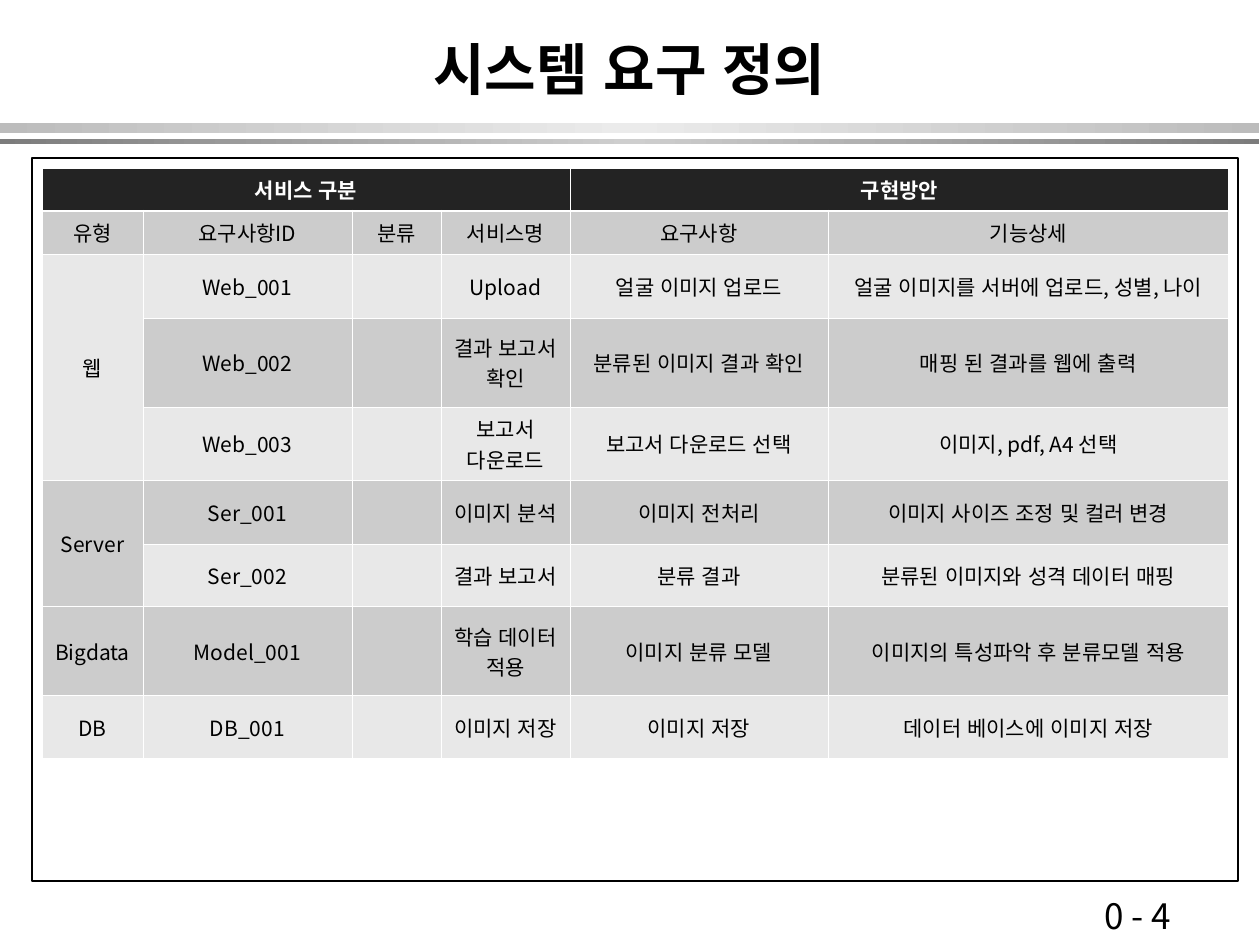
import copy

import lxml.etree
import pptx
import pptx.dml.color
import pptx.enum.lang
import pptx.enum.shapes
import pptx.enum.text
import pptx.oxml.ns
import pptx.util

PX = 914400 // 126
FONT = "Noto Sans CJK KR"
RGB = pptx.dml.color.RGBColor
BLACK = RGB(0x00, 0x00, 0x00)
WHITE = RGB(0xFF, 0xFF, 0xFF)
HEADER = RGB(0x23, 0x23, 0x23)
DARK_BAND = RGB(0xCC, 0xCC, 0xCC)
LIGHT_BAND = RGB(0xE8, 0xE8, 0xE8)
THICK_BAR = (RGB(0xBC, 0xBC, 0xBC), RGB(0xEB, 0xEB, 0xEB))
THIN_BAR = (RGB(0x7C, 0x7C, 0x7C), RGB(0xCE, 0xCE, 0xCE))

COLUMN_WIDTHS = (101, 209, 89, 129, 258, 401)
ROW_HEIGHTS = (43, 43, 64, 89, 73, 64, 63, 89, 63)
REQUIREMENTS = (
    ("서비스 구분", "", "", "", "구현방안", ""),
    ("유형", "요구사항ID", "분류", "서비스명", "요구사항", "기능상세"),
    ("웹", "Web_001", "", "Upload", "얼굴 이미지 업로드", "얼굴 이미지를 서버에 업로드, 성별, 나이"),
    ("", "Web_002", "", "결과 보고서 확인", "분류된 이미지 결과 확인", "매핑 된 결과를 웹에 출력"),
    ("", "Web_003", "", "보고서 다운로드", "보고서 다운로드 선택", "이미지, pdf, A4 선택"),
    ("Server", "Ser_001", "", "이미지 분석", "이미지 전처리", "이미지 사이즈 조정 및 컬러 변경"),
    ("", "Ser_002", "", "결과 보고서", "분류 결과", "분류된 이미지와 성격 데이터 매핑"),
    ("Bigdata", "Model_001", "", "학습 데이터 적용", "이미지 분류 모델", "이미지의 특성파악 후 분류모델 적용"),
    ("DB", "DB_001", "", "이미지 저장", "이미지 저장", "데이터 베이스에 이미지 저장"),
)
MERGES = (((0, 0), (0, 3)), ((0, 4), (0, 5)), ((2, 0), (4, 0)), ((5, 0), (6, 0)))


def px(*lengths):
    """Turn pixel lengths into EMU."""
    return [pptx.util.Emu(length * PX) for length in lengths]


def add_child(parent, tag, **attributes):
    """Append a DrawingML element."""
    return lxml.etree.SubElement(parent, pptx.oxml.ns.qn(tag), **attributes)


def write(frame, text, size, color, bold=False, align=pptx.enum.text.PP_ALIGN.CENTER):
    """Put one formatted paragraph in a text frame."""
    frame.text = text
    paragraph = frame.paragraphs[0]
    paragraph.alignment = align
    for run in paragraph.runs:
        run.font.name = FONT
        run.font.size = pptx.util.Pt(size)
        run.font.bold = bold
        run.font.color.rgb = color
        run.font.language_id = pptx.enum.lang.MSO_LANGUAGE_ID.KOREAN
        run.font._element.set("kern", "0")
        add_child(run.font._element, "a:ea", typeface=FONT)
    if not text:
        add_child(paragraph._p, "a:endParaRPr", sz=str(size * 100))


def add_rectangle(slide, *box):
    """Add a plain rectangle without shadow."""
    rectangle = slide.shapes.add_shape(pptx.enum.shapes.MSO_SHAPE.RECTANGLE, *px(*box))
    rectangle.shadow.inherit = False
    return rectangle


def add_bar(slide, top, height, colors):
    """Add a full-width bar that is lighter in its middle."""
    bar = add_rectangle(slide, 0, top, 1259, height)
    bar.line.fill.background()
    bar.fill.gradient()
    bar.fill.gradient_angle = 0
    stops = bar._element.spPr.find(".//" + pptx.oxml.ns.qn("a:gsLst"))
    stops.insert(1, copy.deepcopy(stops[0]))
    edge, middle = colors
    for stop, position, color in zip(bar.fill.gradient_stops, (0, 0.5, 1), (edge, middle, edge)):
        stop.position = position
        stop.color.rgb = color


def add_frame(slide):
    """Add the outlined content frame."""
    frame = add_rectangle(slide, 32, 158, 1206, 723)
    frame.fill.background()
    frame.line.color.rgb = BLACK
    frame.line.width = pptx.util.Pt(1)


def set_title(slide, text):
    """Place and format the title placeholder."""
    title = slide.shapes.title
    title.left, title.top, title.width, title.height = px(94, 21, 1071, 95)
    write(title.text_frame, text, 32, BLACK, bold=True)
    title.text_frame.auto_size = pptx.enum.text.MSO_AUTO_SIZE.NONE
    title.text_frame.vertical_anchor = pptx.enum.text.MSO_ANCHOR.MIDDLE


def add_page_number(slide, text):
    """Add the page number below the frame."""
    number = slide.shapes.add_textbox(*px(1092, 888, 147, 54))
    number.text_frame.word_wrap = True
    write(number.text_frame, text, 20, BLACK, align=pptx.enum.text.PP_ALIGN.LEFT)


def set_borders(cell, row):
    """Draw white cell borders, heavier under the header row."""
    properties = cell._tc.get_or_add_tcPr()
    heavy_side = {0: "a:lnB", 1: "a:lnT"}.get(row)
    for index, side in enumerate(("a:lnL", "a:lnR", "a:lnT", "a:lnB")):
        points = 1.47 if side == heavy_side else 0.45
        border = add_child(properties, side, w=str(pptx.util.Pt(points)))
        add_child(add_child(border, "a:solidFill"), "a:srgbClr", val=str(WHITE))
        properties.insert(index, border)


def format_cell(cell, row, text):
    """Fill, write and outline one table cell."""
    cell.fill.solid()
    cell.fill.fore_color.rgb = HEADER if row == 0 else (LIGHT_BAND, DARK_BAND)[row % 2]
    write(cell.text_frame, text, 12, WHITE if row == 0 else BLACK, bold=row == 0)
    anchors = pptx.enum.text.MSO_ANCHOR
    cell.vertical_anchor = anchors.TOP if row < 2 else anchors.MIDDLE
    set_borders(cell, row)


def add_requirements(slide):
    """Add the table of system requirements."""
    box = px(42, 168, sum(COLUMN_WIDTHS), sum(ROW_HEIGHTS))
    table = slide.shapes.add_table(len(ROW_HEIGHTS), len(COLUMN_WIDTHS), *box).table
    for column, width in zip(table.columns, px(*COLUMN_WIDTHS)):
        column.width = width
    for row, height in zip(table.rows, px(*ROW_HEIGHTS)):
        row.height = height
    for row, texts in enumerate(REQUIREMENTS):
        for column, text in enumerate(texts):
            format_cell(table.cell(row, column), row, text)
    for first, last in MERGES:
        table.cell(*first).merge(table.cell(*last))


def main():
    """Build and save the slide."""
    deck = pptx.Presentation()
    deck.slide_width, deck.slide_height = px(1260, 945)
    slide = deck.slides.add_slide(deck.slide_layouts[5])
    add_bar(slide, 123, 10, THICK_BAR)
    add_bar(slide, 139, 5, THIN_BAR)
    add_frame(slide)
    add_page_number(slide, "0 - 4")
    set_title(slide, "시스템 요구 정의")
    add_requirements(slide)
    deck.save("out.pptx")


if __name__ == "__main__":
    main()
